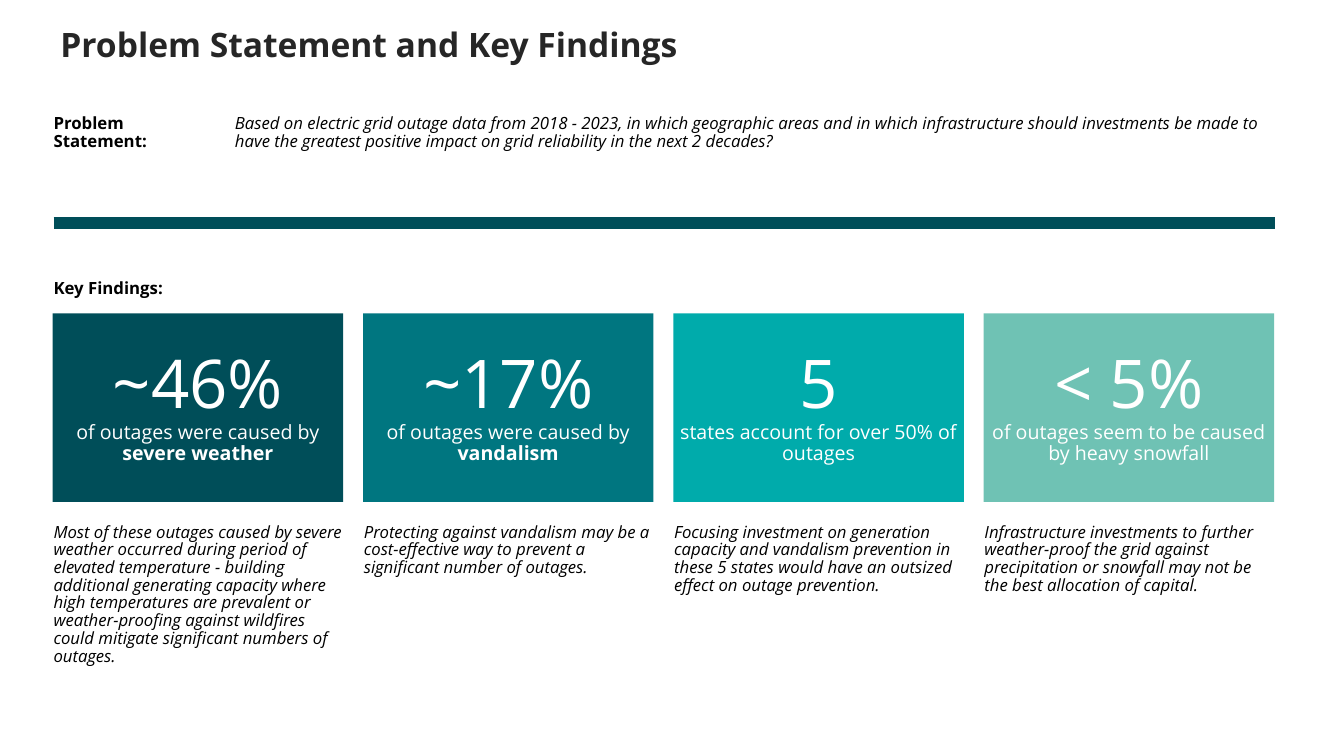
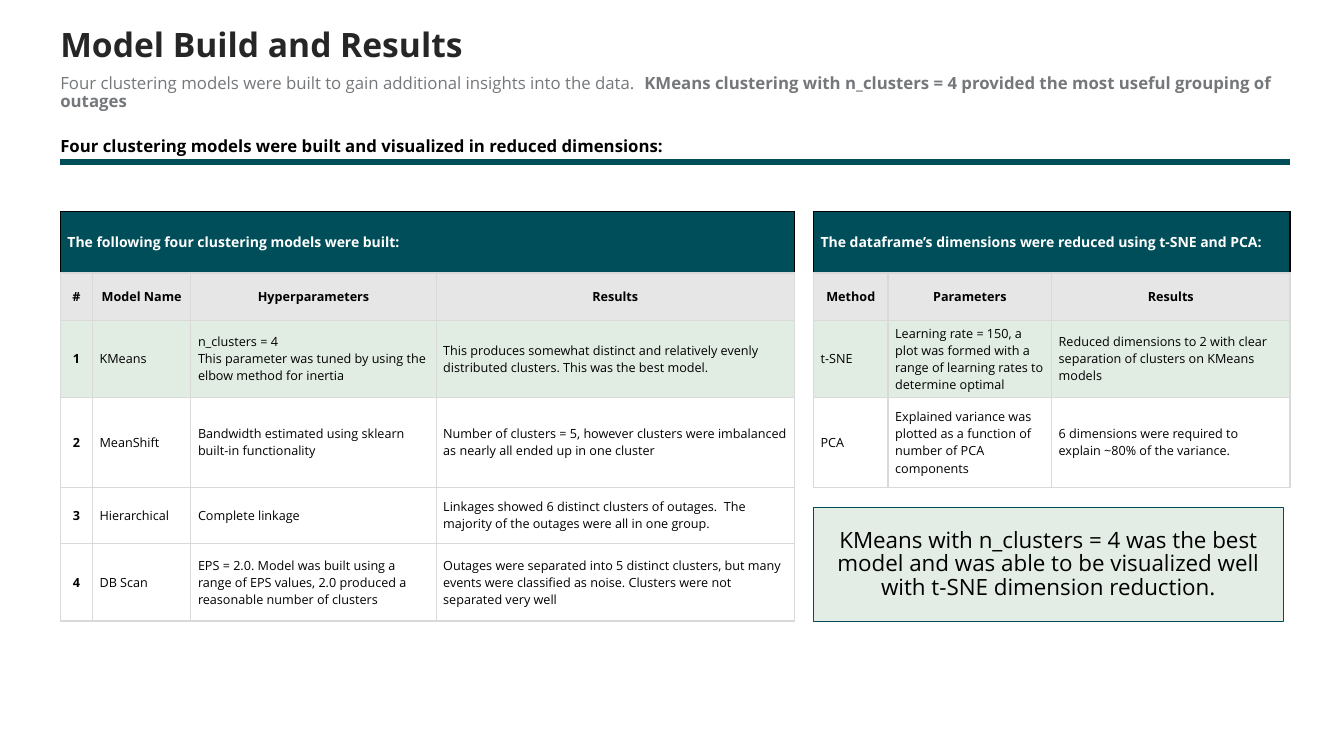
from lxml import etree
from pptx import Presentation
from pptx import util as u
from pptx.dml.color import RGBColor
from pptx.enum import shapes, text
from pptx.oxml import ns

FONT = "Open Sans"
COLOURS = {
    "title": "262626", "black": "000000", "white": "FFFFFF", "grey": "75787B",
    "deep": "004E59", "teal": "007680", "aqua": "00ABAB", "mint": "6FC2B4",
    "header": "E7E6E6", "best": "E1ECE3", "callout": "E4EDE5", "grid": "D9D9D9",
}
CENTRE, LEFT = text.PP_ALIGN.CENTER, text.PP_ALIGN.LEFT
MIDDLE, TOP = text.MSO_ANCHOR.MIDDLE, text.MSO_ANCHOR.TOP
TITLE_BOX = (1.52, 0.66, 31.65, 1.02)


# Shared helpers
def colour(name):
    return RGBColor.from_string(COLOURS[name])


def set_all(target, values):
    for name, value in values.items():
        setattr(target, name, value)


def place(shape, box):
    names = ("left", "top", "width", "height")
    set_all(shape, {name: u.Cm(value) for name, value in zip(names, box)})


def write(frame, paras, ink="black", size=12, align=LEFT, spacing=0.9,
          anchor=TOP, margins=(0, 0), **style):
    """Fill a frame or cell; each paragraph is a list of (words, changes) spans."""
    side, edge = (u.Cm(value) for value in margins)
    set_all(frame, {"margin_left": side, "margin_right": side, "margin_top": edge,
                    "margin_bottom": edge, "word_wrap": True,
                    "vertical_anchor": anchor})
    body = getattr(frame, "text_frame", frame)
    for index, spans in enumerate(paras):
        para = body.add_paragraph() if index else body.paragraphs[0]
        set_all(para, {"alignment": align, "line_spacing": spacing,
                       "space_before": u.Pt(0), "space_after": u.Pt(0)})
        for words, changes in spans:
            span = para.add_run()
            span.text = words
            look = {"name": FONT, "size": size, "bold": False, "italic": False,
                    **style, **changes}
            set_all(span.font, {**look, "size": u.Pt(look["size"])})
            span.font.color.rgb = colour(ink)


def add_text(page, box, words, **style):
    label = page.shapes.add_textbox(0, 0, 0, 0)
    place(label, box)
    write(label.text_frame, [[(words, {})]], **style)


def add_panel(page, box, fill, paras, line=None, **style):
    panel = page.shapes.add_shape(shapes.MSO_SHAPE.RECTANGLE, 0, 0, 0, 0)
    place(panel, box)
    panel.shadow.inherit = False
    panel.fill.solid()
    panel.fill.fore_color.rgb = colour(fill)
    if line:
        panel.line.color.rgb = colour(line)
        panel.line.width = u.Pt(0.75)
    else:
        panel.line.fill.background()
    write(panel.text_frame, paras, align=CENTRE, anchor=MIDDLE, **style)


def add_rule(page, left, right, top, weight):
    rule = page.shapes.add_connector(shapes.MSO_CONNECTOR.STRAIGHT,
                                     *map(u.Cm, (left, top, right, top)))
    rule.line.color.rgb = colour("deep")
    rule.line.width = u.Pt(weight)
    etree.SubElement(rule._element.spPr, ns.qn("a:effectLst"))


def add_page(deck, title, body_box, spans, **style):
    page = deck.slides.add_slide(deck.slide_layouts[1])
    heading, body = page.shapes.title, page.placeholders[1]
    for holder, box in ((heading, TITLE_BOX), (body, body_box)):
        place(holder, box)
        holder.text_frame.auto_size = text.MSO_AUTO_SIZE.NONE
    write(heading.text_frame, [[(title, {})]], ink="title", size=24, bold=True,
          anchor=MIDDLE)
    write(body.text_frame, [spans], **style)
    # Plain paragraph without the template's bullet
    format_xml = body.text_frame.paragraphs[0]._p.get_or_add_pPr()
    format_xml.set("marL", "0")
    format_xml.set("indent", "0")
    etree.SubElement(format_xml, ns.qn("a:buNone"))
    return page


# Tables
def set_borders(cell, sides):
    format_xml = cell._tc.get_or_add_tcPr()
    for side, name in sides.items():
        line = etree.SubElement(format_xml, ns.qn("a:ln" + side), w="12700")
        fill = etree.SubElement(line, ns.qn("a:solidFill"))
        etree.SubElement(fill, ns.qn("a:srgbClr"), val=COLOURS[name])


def add_model_table(page, left, top, widths, heights, banner, rows, centred=()):
    """Banner row, grey heading row, highlighted best row, then plain rows."""
    frame = page.shapes.add_table(len(heights), len(widths), u.Cm(left), u.Cm(top),
                                  u.Cm(sum(widths)), u.Cm(sum(heights)))
    table = frame.table
    set_all(table, {"first_row": False, "horz_banding": False})
    for column, width in zip(table.columns, widths):
        column.width = u.Cm(width)
    for row, height in zip(table.rows, heights):
        row.height = u.Cm(height)
    table.cell(0, 0).merge(table.cell(0, len(widths) - 1))

    fills = ["deep", "header", "best"] + ["white"] * (len(heights) - 3)
    content = [[banner] + [""] * (len(widths) - 1)] + rows
    for r, (fill, entries) in enumerate(zip(fills, content)):
        edge = "grid" if r else "black"
        for c, entry in enumerate(entries):
            cell = table.cell(r, c)
            set_borders(cell, {"L": edge, "R": edge, "T": edge, "B": "grid"})
            cell.fill.solid()
            cell.fill.fore_color.rgb = colour(fill)
            if not entry:
                continue
            strong = r < 2 or c in centred
            write(cell, [[(words, {})] for words in entry.split("\n")],
                  ink="black" if r else "white", size=9 if r else 10,
                  align=CENTRE if r and strong else LEFT, spacing=1.0,
                  anchor=MIDDLE, margins=(0.18, 0.11), bold=strong)


# Slide 1
def add_finding(page, left, top, width, fill, figure, claim, advice):
    add_panel(page, (left, top, width, 4.75), fill,
              [[(figure, {"size": 48})], claim], ink="white", size=14)
    add_text(page, (left + 0.02, top + 5.3, width, 3.3), advice,
             italic=True, spacing=0.88)


def build_findings(deck):
    page = add_page(
        deck, "Problem Statement and Key Findings", (5.92, 2.9, 26.37, 1.27),
        [("Based on electric grid outage data from 2018 - 2023, in which geographic "
          "areas and in which infrastructure should investments be made to have the "
          "greatest positive impact on grid reliability in the next 2 decades?", {})],
        italic=True)
    add_text(page, (1.35, 2.9, 4.04, 1.27), "Problem Statement:", bold=True)
    add_rule(page, 1.35, 32.13, 5.62, 9)
    add_text(page, (1.35, 7.06, 6.86, 0.51), "Key Findings:", bold=True)

    caused = ("of outages were caused by ", {})
    findings = [
        ("deep", "~46%", [caused, ("severe weather", {"bold": True})],
         "Most of these outages caused by severe weather occurred during period of "
         "elevated temperature - building additional generating capacity where high "
         "temperatures are prevalent or weather-proofing against wildfires could "
         "mitigate significant numbers of outages."),
        ("teal", "~17%", [caused, ("vandalism", {"bold": True})],
         "Protecting against vandalism may be a cost-effective way to prevent a "
         "significant number of outages."),
        ("aqua", "5", [("states account for over 50% of outages", {})],
         "Focusing investment on generation capacity and vandalism prevention in "
         "these 5 states would have an outsized effect on outage prevention."),
        ("mint", "< 5%", [("of outages seem to be caused by heavy snowfall", {})],
         "Infrastructure investments to further weather-proof the grid against "
         "precipitation or snowfall may not be the best allocation of capital."),
    ]
    width, gap = 7.32, 0.5
    for index, finding in enumerate(findings):
        add_finding(page, 1.33 + index * (width + gap), 7.9, width, *finding)


# Slide 2
def build_models(deck):
    page = add_page(
        deck, "Model Build and Results", (1.52, 1.9, 31.65, 1.27),
        [("Four clustering models were built to gain additional insights into the "
          "data.  ", {}),
         ("KMeans clustering with n_clusters = 4 provided the most useful grouping "
          "of outages", {"bold": True})],
        ink="grey", spacing=0.88)
    add_text(page, (1.52, 3.18, 30.99, 0.84),
             "Four clustering models were built and visualized in reduced dimensions:",
             bold=True, spacing=1.2, margins=(0, 0.13))
    add_rule(page, 1.52, 32.51, 4.08, 4.5)

    top, heights = 5.33, [1.55, 1.19, 1.95, 2.26, 1.42, 1.95]
    models = [
        ["#", "Model Name", "Hyperparameters", "Results"],
        ["1", "KMeans", "n_clusters = 4\nThis parameter was tuned by using the elbow "
         "method for inertia",
         "This produces somewhat distinct and relatively evenly distributed clusters. "
         "This was the best model."],
        ["2", "MeanShift", "Bandwidth estimated using sklearn built-in functionality",
         "Number of clusters = 5, however clusters were imbalanced as nearly all "
         "ended up in one cluster"],
        ["3", "Hierarchical", "Complete linkage",
         "Linkages showed 6 distinct clusters of outages.  The majority of the "
         "outages were all in one group."],
        ["4", "DB Scan", "EPS = 2.0. Model was built using a range of EPS values, 2.0 "
         "produced a reasonable number of clusters",
         "Outages were separated into 5 distinct clusters, but many events were "
         "classified as noise. Clusters were not separated very well"],
    ]
    add_model_table(page, 1.52, top, [0.81, 2.48, 6.18, 9.03], heights,
                    "The following four clustering models were built:", models,
                    centred=(0,))

    reductions = [
        ["Method", "Parameters", "Results"],
        ["t-SNE", "Learning rate = 150, a plot was formed with a range of learning "
         "rates to determine optimal",
         "Reduced dimensions to 2 with clear separation of clusters on KMeans models"],
        ["PCA", "Explained variance was plotted as a function of number of PCA "
         "components",
         "6 dimensions were required to explain ~80% of the variance."],
    ]
    add_model_table(page, 20.5, top, [1.88, 4.12, 6.01], heights[:4],
                    "The dataframe’s dimensions were reduced using t-SNE and PCA:",
                    reductions)

    add_panel(page, (20.5, 12.8, 11.84, 2.87), "callout",
              [[("KMeans with n_clusters = 4 was the best model and was able to be "
                 "visualized well with t-SNE dimension reduction.", {})]],
              line="deep", size=16, spacing=0.88)


def main():
    deck = Presentation()
    set_all(deck, {"slide_width": u.Cm(33.87), "slide_height": u.Cm(19.05)})
    build_findings(deck)
    build_models(deck)
    deck.save("out.pptx")


if __name__ == "__main__":
    main()
